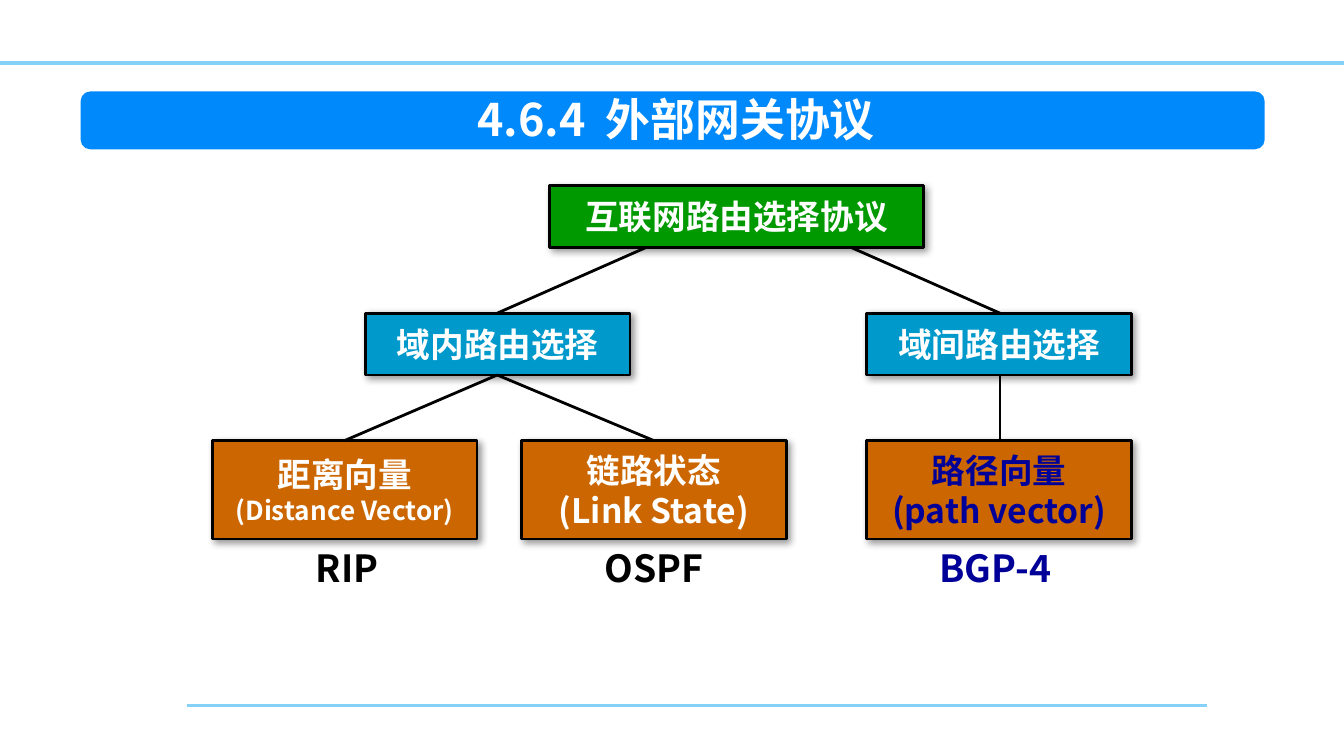
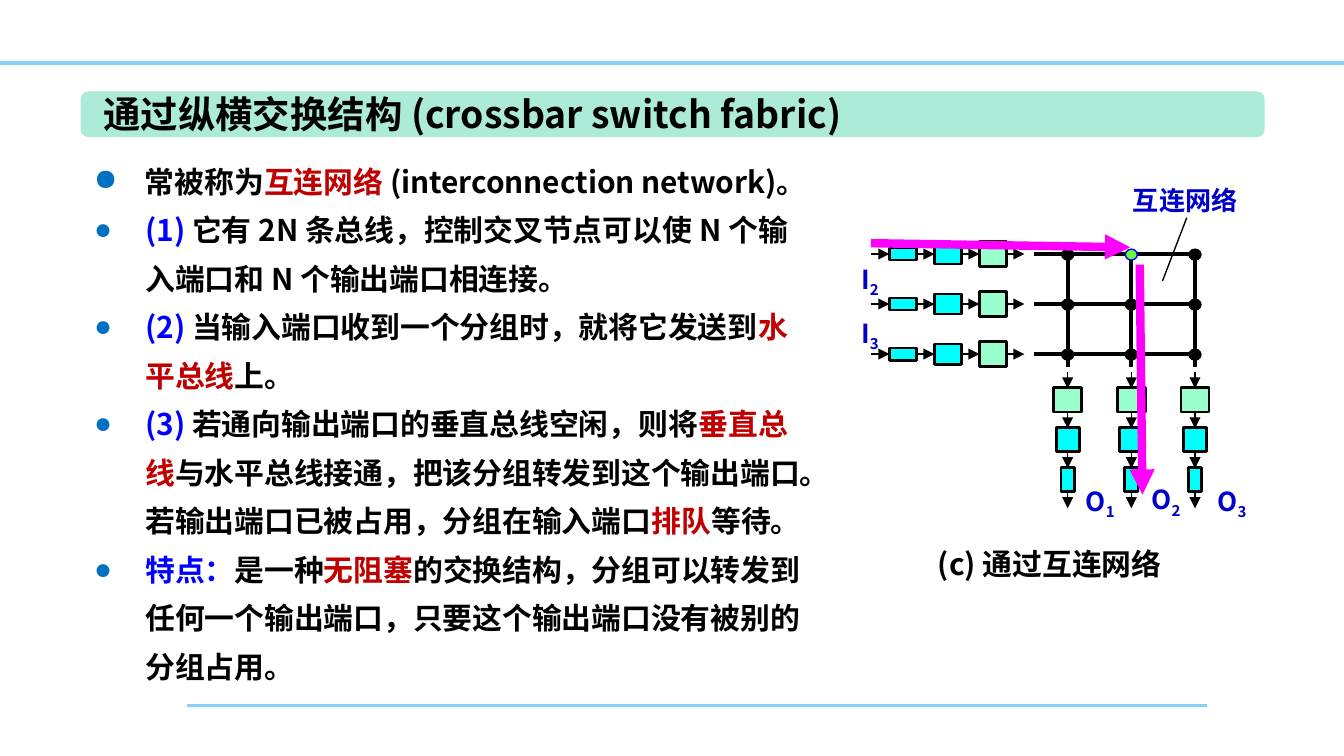
from lxml import etree
from pptx import Presentation
from pptx.dml.color import RGBColor
from pptx.enum.shapes import MSO_CONNECTOR, MSO_SHAPE
from pptx.enum.text import MSO_ANCHOR, MSO_AUTO_SIZE, PP_ALIGN
from pptx.oxml.ns import qn
from pptx.util import Pt


class Theme:
    font = "Noto Sans CJK SC"
    rule, black, white = "85D1F7", "000000", "FFFFFF"
    section, topic = "0089FA", "ABEBD7"
    root, branch, leaf, navy = "009900", "0099CC", "CC6600", "000099"
    number, key, bullet = "0000FF", "C00000", "0070C0"
    cyan, mint, label, route, active = "00FFFF", "99FFCC", "0000CC", "FF00FF", "66FF33"
    section_size, title_size, box_size, body_size, label_size = 24, 20, 18, 16, 14


T = Theme


def draw(s, kind, a, b, c, d, fill=None, line=None, width=0.75, arrow=False):
    """Draw a line from (a, b) to (c, d), or a shape at (a, b) sized c by d."""
    place = [Pt(v) for v in (a, b, c, d)]
    if kind == "line":
        sp = s.shapes.add_connector(MSO_CONNECTOR.STRAIGHT, *place)
    else:
        sp = s.shapes.add_shape(kind, *place)
        sp.shadow.inherit = False
        sp.fill.solid()
        sp.fill.fore_color.rgb = RGBColor.from_string(fill)
    if line:
        sp.line.color.rgb = RGBColor.from_string(line)
        sp.line.width = Pt(width)
    else:
        sp.line.fill.background()
    if kind == "line":
        etree.SubElement(sp.element.spPr, qn("a:effectLst"))
    if arrow:
        etree.SubElement(sp.line._get_or_add_ln(), qn("a:tailEnd"), type="triangle")
    return sp


def write(sp, paras, size, box=None, wrap=False, anchor=MSO_ANCHOR.TOP,
          align=PP_ALIGN.LEFT, leading=None, bullets=False):
    """Fill a shape; each run is (text, colour) plus optional format values."""
    tf = sp.text_frame
    frame = {"word_wrap": wrap, "vertical_anchor": anchor}
    if box:
        frame["auto_size"] = MSO_AUTO_SIZE.SHAPE_TO_FIT_TEXT
        for name, value in zip(("left", "top", "width", "height"), box):
            setattr(sp, name, Pt(value))
    for name, value in frame.items():
        setattr(tf, name, value)
    for i, runs in enumerate(paras):
        p = tf.add_paragraph() if i else tf.paragraphs[0]
        if bullets:
            pPr = p._p.get_or_add_pPr()
            pPr.set("marL", str(Pt(27.4)))
            pPr.set("indent", str(-Pt(27.4)))
            clr = etree.SubElement(pPr, qn("a:buClr"))
            etree.SubElement(clr, qn("a:srgbClr"), val=T.bullet)
            etree.SubElement(pPr, qn("a:buChar"), char="●")
        p.alignment, p.space_before = align, Pt(0)
        if leading:
            p.line_spacing = Pt(leading)
        for text, color, *extra in runs:
            r = p.add_run()
            r.text = text
            fmt = {"name": T.font, "size": Pt(size), "bold": True}
            fmt.update(extra[0] if extra else {})
            base = fmt.pop("baseline", None)
            for name, value in fmt.items():
                setattr(r.font, name, value)
            r.font.color.rgb = RGBColor.from_string(color)
            rPr = r._r.get_or_add_rPr()
            etree.SubElement(rPr, qn("a:ea"), typeface=T.font)
            if base:
                rPr.set("baseline", str(base))


prs = Presentation()
prs.slide_width, prs.slide_height = Pt(720), Pt(405)

# Slides with their title bands
titles = [
    (5, "4.6.4  外部网关协议", T.section, 31, T.white, T.section_size,
     (216.7, 45.4, 290.9, 36), PP_ALIGN.CENTER),
    (1, "通过纵横交换结构 (crossbar switch fabric)", T.topic, 24.5, T.black, T.title_size,
     (48.2, 45.4, 419, 31.7), PP_ALIGN.LEFT),
]
for layout, text, fill, height, color, size, box, align in titles:
    s = prs.slides.add_slide(prs.slide_layouts[layout])
    band = draw(s, MSO_SHAPE.ROUNDED_RECTANGLE, 43.2, 49, 634.3, height, fill)
    s.shapes.title.element.addprevious(band.element)
    write(s.shapes.title, [[(text, color)]], size, box, align=align)
tree, crossbar = prs.slides

# Rules shared through the slide master
for a, b, c, d, width in [(100.1, 378, 646.6, 378, 1.5), (0, 33.8, 720, 33.8, 2)]:
    rule = draw(tree, "line", a, b, c, d, line=T.rule, width=width)
    prs.slide_master.element.cSld.spTree.append(rule.element)

# Slide 1: tree of routing protocols
s = tree
small = {"size": Pt(T.label_size)}
nodes = [
    (294.5, 99.4, 200.2, 33.1, T.root, [[("互联网路由选择协议", T.white)]]),
    (195.8, 167.8, 141.8, 33.1, T.branch, [[("域内路由选择", T.white)]]),
    (464.4, 167.8, 141.8, 33.1, T.branch, [[("域间路由选择", T.white)]]),
    (113.8, 236.2, 141.8, 52.6, T.leaf,
     [[("距离向量", T.white)], [("(Distance Vector)", T.white, small)]]),
    (279.4, 236.2, 141.8, 52.6, T.leaf,
     [[("链路状态", T.white)], [("(Link State)", T.white)]]),
    (464.4, 236.2, 141.8, 52.6, T.leaf,
     [[("路径向量", T.navy)], [("(path vector)", T.navy)]]),
]
for x, y, w, h, fill, paras in nodes:
    sp = draw(s, MSO_SHAPE.RECTANGLE, x, y, w, h, fill, T.black, 1.5)
    shadow = etree.SubElement(sp.element.spPr.find(qn("a:effectLst")), qn("a:outerShdw"),
                              blurRad=str(Pt(4)), dist=str(Pt(2)), dir="2700000")
    clr = etree.SubElement(shadow, qn("a:srgbClr"), val=T.black)
    etree.SubElement(clr, qn("a:alpha"), val="40000")
    write(sp, paras, T.box_size, wrap=True, anchor=MSO_ANCHOR.MIDDLE, align=PP_ALIGN.CENTER)

for x1, y1, x2 in [(346.3, 132.5, 266.4), (455.8, 132.5, 535.7), (266.4, 200.9, 184.3),
                   (266.4, 200.9, 350.6), (535.7, 200.9, 535.7)]:
    draw(s, "line", x1, y1, x2, y1 + 35.3, line=T.black, width=1.5)

for text, x, w, color in [("RIP", 162, 49, T.black), ("OSPF", 316.8, 67.7, T.black),
                          ("BGP-4", 496.1, 78.5, T.navy)]:
    box = (x, 288.7, w, 31.7)
    write(s.shapes.add_textbox(*map(Pt, box)), [[(text, color)]], T.title_size, box)

# Slide 2: bullet list
s = crossbar
points = [
    [("(1) ", T.number),
     ("它有 2N 条总线，控制交叉节点可以使 N 个输入端口和 N 个输出端口相连接。", T.black)],
    [("(2) ", T.number), ("当输入端口收到一个分组时，就将它发送到", T.black),
     ("水平总线", T.key), ("上。", T.black)],
    [("(3) ", T.number), ("若通向输出端口的垂直总线空闲，则将", T.black),
     ("垂直总线", T.key),
     ("与水平总线接通，把该分组转发到这个输出端口。若输出端口已被占用，分组在输入端口", T.black),
     ("排队", T.key), ("等待。", T.black)],
    [("特点：", T.number), ("是一种", T.black), ("无阻塞", T.key),
     ("的交换结构，分组可以转发到任何一个输出端口，只要这个输出端口没有被别的分组占用。", T.black)],
]
write(s.placeholders[1], points, T.body_size, (43.2, 103, 394.6, 270),
      wrap=True, leading=26, bullets=True)
intro = [("常被称为", T.black), ("互连网络 ", T.key),
         ("(interconnection network)。", T.black)]
box = (43.2, 73.4, 501.1, 37.4)
write(s.shapes.add_textbox(*map(Pt, box)), [intro], T.body_size, box,
      wrap=True, leading=30, bullets=True)

# Input and output ports
rows = [136.1 + 26.8 * i for i in range(3)]
cols = [572 + 34.1 * i for i in range(3)]
for y in rows:
    for k, (h, fill) in enumerate([(6.5, T.cyan), (10.8, T.cyan), (13.7, T.mint)]):
        draw(s, MSO_SHAPE.RECTANGLE, 476.6 + 24.1 * k, y - h / 2, 14.4, h, fill, T.black, 1.5)
    for k in range(4):
        x = 466.7 + 24.1 * k
        draw(s, "line", x, y, x + 9.8, y, line=T.black, arrow=True)
for x in cols:
    for k, (w, fill) in enumerate([(15.1, T.mint), (12.4, T.cyan), (7.2, T.cyan)]):
        draw(s, MSO_SHAPE.RECTANGLE, x - w / 2, 207.7 + 21.4 * k, w, 13, fill, T.black, 1.5)
    for k in range(4):
        y = 199.5 + 21.4 * k
        draw(s, "line", x, y, x, y + 8.6, line=T.black, arrow=True)

# Buses and crosspoints
for y in rows:
    draw(s, "line", 553.7, y, cols[-1], y, line=T.black, width=2.25)
for x in cols:
    draw(s, "line", x, 196.6, x, rows[0], line=T.black, width=2.25)
for i, y in enumerate(rows):
    for j, x in enumerate(cols):
        fill, line = (T.active, T.number) if (i, j) == (0, 1) else (T.black, T.black)
        draw(s, MSO_SHAPE.OVAL, x - 3.2, y - 2.6, 6.4, 5.8, fill, line)

# Labels
sub = {"baseline": -25000}
labels = [("I", "2", 454.3, 137.5, 25.2), ("I", "3", 454.3, 166.3, 25.2),
          ("O", "1", 574.6, 256.3, 31.7), ("O", "2", 609.8, 255.6, 31.7),
          ("O", "3", 645.1, 256.3, 31.7), ("互连网络", "", 599.8, 95, 71.3)]
for text, index, x, y, w in labels:
    runs = [(text, T.label)] + ([(index, T.label, sub)] if index else [])
    box = (x, y, w, 24.5)
    write(s.shapes.add_textbox(*map(Pt, box)), [runs], T.label_size, box)
box = (495.4, 288.7, 137.5, 26.6)
write(s.shapes.add_textbox(*map(Pt, box)), [[("(c) 通过互连网络", T.black)]],
      T.body_size, box, wrap=True)

# Leader and the route of one packet
draw(s, "line", 622.8, 150.5, 635.8, 116.6, line=T.black)
for a, b, c, d in [(466.6, 130.3, 605.5, 132.5), (610.6, 141.8, 612, 265)]:
    draw(s, "line", a, b, c, d, line=T.route, width=4.5, arrow=True)

prs.save("out.pptx")
